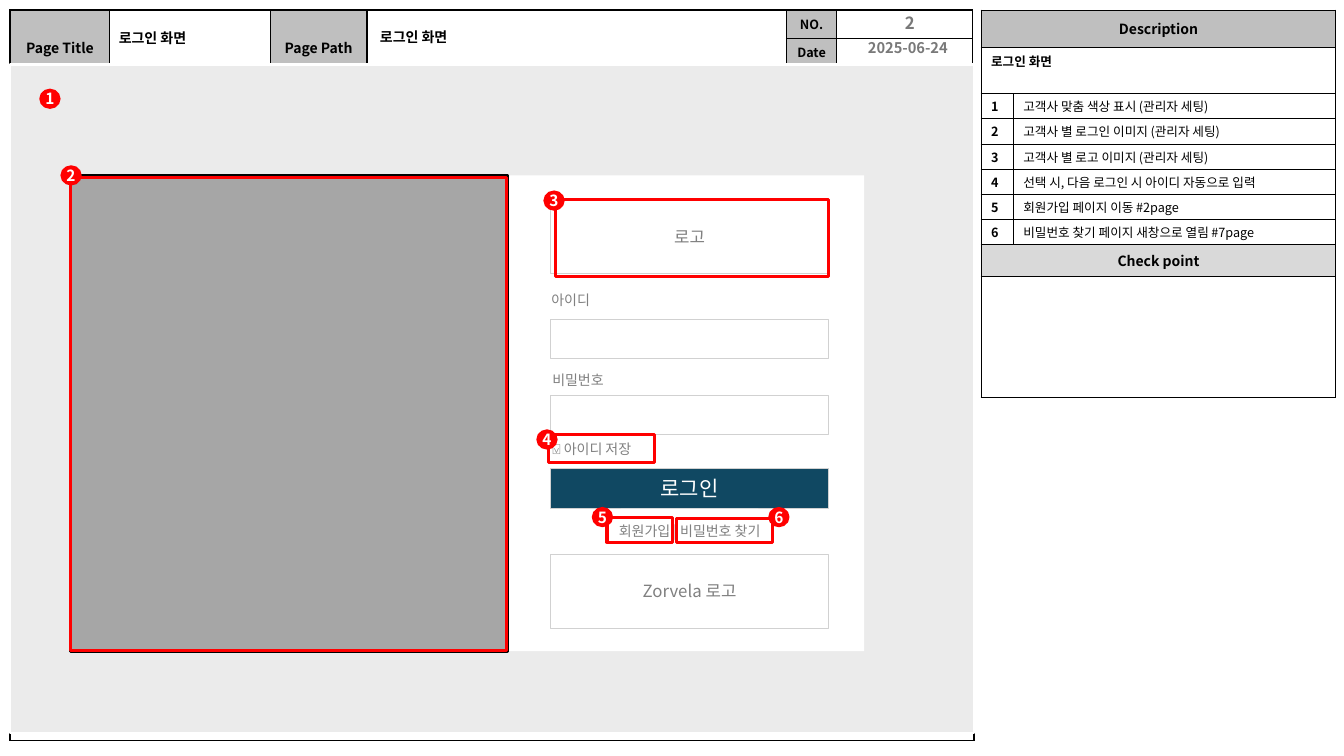
from dataclasses import dataclass

from lxml.etree import SubElement
from pptx import Presentation
from pptx.dml.color import RGBColor
from pptx.enum.shapes import MSO_SHAPE
from pptx.enum.text import MSO_ANCHOR, PP_ALIGN
from pptx.oxml.ns import qn
from pptx.shapes.autoshape import Shape
from pptx.table import Table, _Cell
from pptx.text.text import TextFrame
from pptx.util import Inches, Pt

FONT = "Noto Sans CJK KR"
COLORS = {
    "black": "000000", "white": "FFFFFF", "red": "FF0000", "navy": "104862",
    "heading": "BFBFBF", "subheading": "D9D9D9", "image": "A6A6A6",
    "outline": "D1D1D1", "label": "808080", "value": "797979",
}


@dataclass
class Style:
    size: float = 10
    color: str = "black"
    bold: bool = False
    align: PP_ALIGN = PP_ALIGN.LEFT
    anchor: MSO_ANCHOR = MSO_ANCHOR.TOP


@dataclass
class Block:
    left: float
    top: float
    width: float
    height: float
    fill: str | None = "white"
    line: str | None = "outline"
    weight: float = 0.5
    text: str = ""
    size: float = 12
    color: str = "label"


@dataclass
class Label:
    left: float
    top: float
    width: float
    height: float
    text: str
    style: Style
    wrap: bool = True


@dataclass
class Callout:
    number: int
    left: float
    top: float
    frame: tuple[float, float, float, float] | None = None


CENTER, MIDDLE = PP_ALIGN.CENTER, MSO_ANCHOR.MIDDLE
HEADING = Style(10, bold=True, align=CENTER, anchor=MIDDLE)
SMALL_HEADING = Style(9, bold=True, align=CENTER)
TITLE = Style(10, bold=True)
FIELD = Style(10, "label")
NOTE = Style(9, anchor=MIDDLE)
NOTE_NUMBER = Style(9, bold=True, anchor=MIDDLE)
BADGE = Style(11, "white", True, CENTER, MIDDLE)

FORM_LEFT, FORM_WIDTH = 5.46, 2.76
BLOCKS = [
    Block(0.7, 1.74, 7.87, 4.72, line=None),
    Block(0.7, 1.74, 4.33, 4.72, "image", "black", 2.25),
    Block(FORM_LEFT, 3.17, FORM_WIDTH, 0.39),
    Block(FORM_LEFT, 3.92, FORM_WIDTH, 0.39),
    Block(FORM_LEFT, 1.98, FORM_WIDTH, 0.73, text="로고"),
    Block(FORM_LEFT, 5.5, FORM_WIDTH, 0.73, text="Zorvela 로고"),
    Block(FORM_LEFT, 4.65, FORM_WIDTH, 0.39, "navy", text="로그인", size=15, color="white"),
]
LABELS = [
    Label(8.75, 0.1, 0.42, 0.25, "2", Style(12, "value", True, PP_ALIGN.RIGHT, MIDDLE)),
    Label(8.51, 0.31, 1.15, 0.32, "2025-06-24", Style(10.5, "value", True, anchor=MIDDLE)),
    Label(1.08, 0.24, 1.47, 0.27, "로그인 화면", TITLE),
    Label(3.67, 0.23, 2.82, 0.27, "로그인 화면", TITLE),
    Label(5.38, 3.64, 0.76, 0.27, "비밀번호", FIELD, False),
    Label(5.37, 2.84, 0.62, 0.27, "아이디", FIELD, False),
    Label(5.38, 4.32, 1.14, 0.27, "⍌ 아이디 저장", FIELD, False),
    Label(FORM_LEFT, 5.13, FORM_WIDTH, 0.27, "회원가입 | 비밀번호 찾기",
          Style(10, "label", align=CENTER)),
]
CALLOUTS = [
    Callout(1, 0.4, 0.89),
    Callout(2, 0.61, 1.65, (0.7, 1.76, 4.32, 4.69)),
    Callout(3, 5.4, 1.9, (5.51, 1.98, 2.71, 0.76)),
    Callout(4, 5.33, 4.27, (5.44, 4.31, 1.05, 0.28)),
    Callout(5, 5.88, 5.04, (6.02, 5.13, 0.65, 0.25)),
    Callout(6, 7.63, 5.04, (6.71, 5.14, 0.95, 0.24)),
]
NOTES = [
    "고객사 맞춤 색상 표시 (관리자 세팅)",
    "고객사 별 로그인 이미지 (관리자 세팅)",
    "고객사 별 로고 이미지 (관리자 세팅)",
    "선택 시, 다음 로그인 시 아이디 자동으로 입력",
    "회원가입 페이지 이동 #2page",
    "비밀번호 찾기 페이지 새창으로 열림 #7page",
]


def rgb(name: str) -> RGBColor:
    return RGBColor.from_string(COLORS[name])


def write(frame: TextFrame, text: str, style: Style) -> None:
    frame.text = text
    para = frame.paragraphs[0]
    para.alignment = style.align
    font = para.font
    font.name, font.size, font.bold = FONT, Pt(style.size), style.bold
    font.color.rgb = rgb(style.color)
    SubElement(para._p.pPr.find(qn("a:defRPr")), qn("a:ea"), typeface=FONT)


def add_block(shapes, block: Block, kind: MSO_SHAPE = MSO_SHAPE.RECTANGLE) -> Shape:
    shape = shapes.add_shape(kind, *map(Inches, (block.left, block.top, block.width, block.height)))
    shape.shadow.inherit = False
    if block.fill:
        shape.fill.solid()
        shape.fill.fore_color.rgb = rgb(block.fill)
    else:
        shape.fill.background()
    if block.line:
        shape.line.color.rgb = rgb(block.line)
        shape.line.width = Pt(block.weight)
    else:
        shape.line.fill.background()
    if block.text:
        shape.text_frame.vertical_anchor = MIDDLE
        write(shape.text_frame, block.text, Style(block.size, block.color, align=CENTER))
    return shape


def add_label(shapes, label: Label) -> None:
    box = shapes.add_textbox(*map(Inches, (label.left, label.top, label.width, label.height)))
    box.text_frame.word_wrap = label.wrap
    box.text_frame.vertical_anchor = label.style.anchor
    write(box.text_frame, label.text, label.style)


def add_callout(shapes, callout: Callout) -> None:
    if callout.frame:
        add_block(shapes, Block(*callout.frame, fill=None, line="red", weight=2.25))
    badge = add_block(shapes, Block(callout.left, callout.top, 0.19, 0.18, "red", "red", 1.5),
                      MSO_SHAPE.OVAL)
    frame = badge.text_frame
    frame.margin_left = frame.margin_right = frame.margin_top = frame.margin_bottom = 0
    frame.word_wrap, frame.vertical_anchor = False, MIDDLE
    write(frame, str(callout.number), BADGE)


def add_grid(shapes, left: float, top: float, columns: list[float], rows: list[float],
             border: float) -> Table:
    """Add a white table whose cells all have black borders."""
    table = shapes.add_table(len(rows), len(columns), *map(
        Inches, (left, top, sum(columns), sum(rows)))).table
    table.first_row = table.horz_banding = False
    for column, width in zip(table.columns, columns):
        column.width = Inches(width)
    for row, height in zip(table.rows, rows):
        row.height = Inches(height)
    for cell in table.iter_cells():
        properties = cell._tc.get_or_add_tcPr()
        for side in ("lnL", "lnR", "lnT", "lnB"):
            edge = SubElement(properties, qn(f"a:{side}"), w=str(Pt(border)))
            SubElement(SubElement(edge, qn("a:solidFill")), qn("a:srgbClr"), val=COLORS["black"])
        cell.margin_top = cell.margin_bottom = Inches(0.03)
        SubElement(cell.text_frame.paragraphs[0]._p, qn("a:endParaRPr"), sz="900")
        cell.fill.solid()
        cell.fill.fore_color.rgb = rgb("white")
    return table


def fill_cell(cell: _Cell, text: str, style: Style, fill: str = "white") -> None:
    cell.fill.fore_color.rgb = rgb(fill)
    cell.vertical_anchor = style.anchor
    if style.anchor == MSO_ANCHOR.TOP:
        cell.margin_top = Inches(0.05)
    write(cell.text_frame, text, style)


def add_header(shapes) -> None:
    table = add_grid(shapes, 0.1, 0.1, [0.99, 1.59, 0.96, 4.16, 0.5, 1.35], [0.28, 0.47], 1)
    for column in range(4):
        table.cell(0, column).merge(table.cell(1, column))
    for column, text in ((0, "Page Title"), (2, "Page Path")):
        fill_cell(table.cell(0, column), text, HEADING, "heading")
    for row, text in enumerate(("NO.", "Date")):
        fill_cell(table.cell(row, 4), text, SMALL_HEADING, "heading")


def add_description(shapes) -> None:
    heights = [0.37, 0.46] + [0.25] * len(NOTES) + [0.31, 1.2]
    table = add_grid(shapes, 9.73, 0.1, [0.32, 3.2], heights, 0.75)
    check_row = len(NOTES) + 2
    for row in (0, 1, check_row, check_row + 1):
        table.cell(row, 0).merge(table.cell(row, 1))
    fill_cell(table.cell(0, 0), "Description", HEADING, "heading")
    fill_cell(table.cell(1, 0), "로그인 화면", Style(9, bold=True))
    for number, note in enumerate(NOTES, 1):
        fill_cell(table.cell(number + 1, 0), str(number), NOTE_NUMBER)
        fill_cell(table.cell(number + 1, 1), note, NOTE)
    fill_cell(table.cell(check_row, 0), "Check point", HEADING, "subheading")


def main() -> None:
    deck = Presentation()
    deck.slide_width, deck.slide_height = Inches(13.33), Inches(7.5)
    shapes = deck.slides.add_slide(deck.slide_layouts[6]).shapes
    add_header(shapes)
    add_grid(shapes, 0.1, 0.65, [9.56], [6.7], 1)
    canvas = add_block(shapes, Block(0.1, 0.64, 9.56, 6.63, "subheading", "white", 1.5))
    tint = canvas.fill._xPr.find(qn("a:solidFill")).find(qn("a:srgbClr"))
    SubElement(tint, qn("a:alpha"), val="50000")
    for block in BLOCKS:
        add_block(shapes, block)
    for label in LABELS:
        add_label(shapes, label)
    add_description(shapes)
    for callout in CALLOUTS:
        add_callout(shapes, callout)
    deck.save("out.pptx")


if __name__ == "__main__":
    main()
